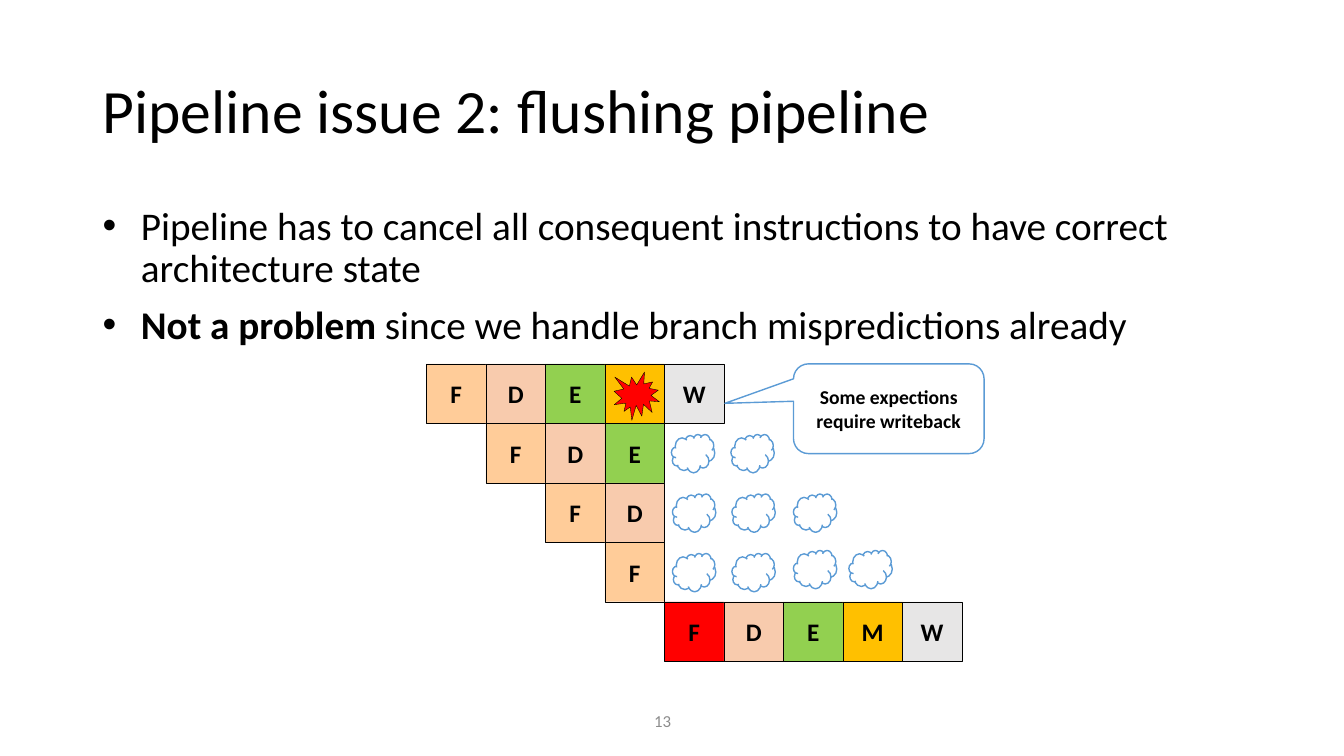
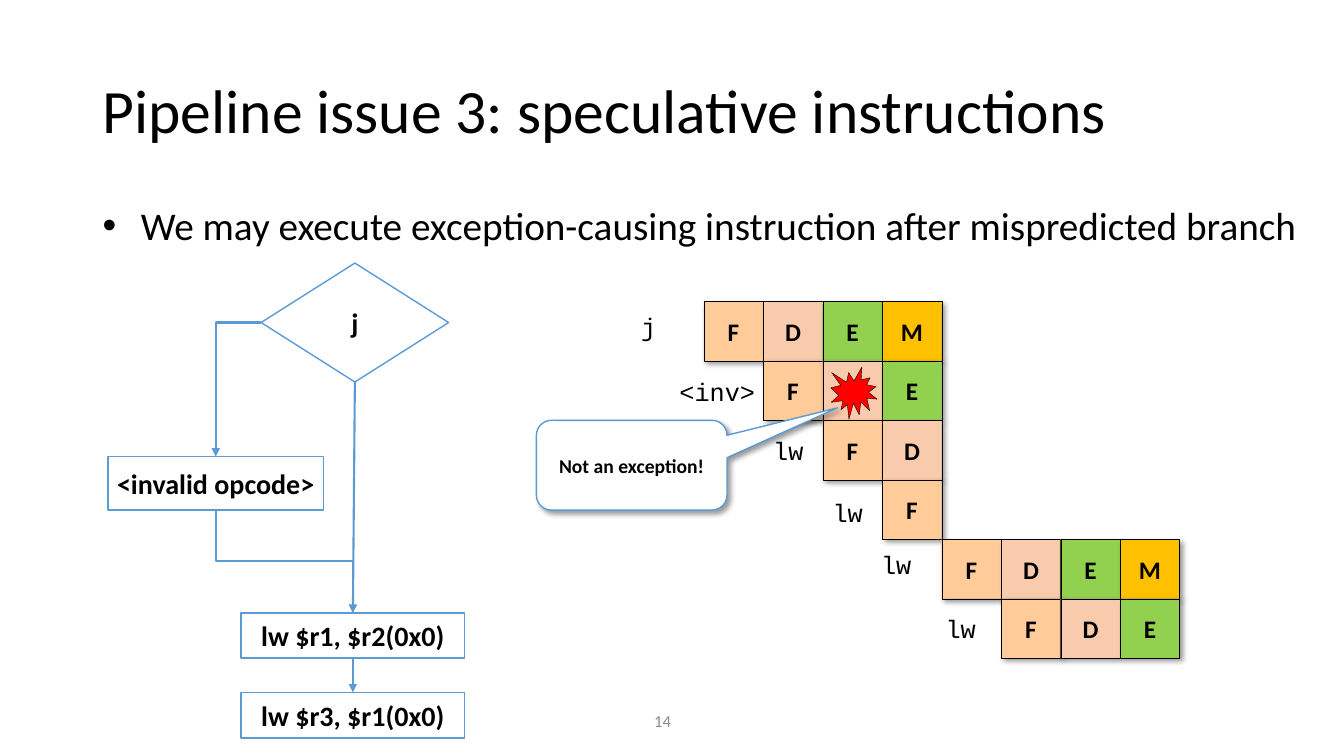
from lxml.etree import SubElement
from pptx import Presentation
from pptx.dml.color import RGBColor
from pptx.enum.shapes import MSO_CONNECTOR, MSO_SHAPE
from pptx.enum.text import MSO_ANCHOR, PP_ALIGN
from pptx.oxml.ns import qn
from pptx.util import Inches, Pt

BLACK = RGBColor(0, 0, 0)
WHITE = RGBColor(0xFF, 0xFF, 0xFF)
GRAY = RGBColor(0x8C, 0x8C, 0x8C)
BLUE = RGBColor(0x5B, 0x9B, 0xD5)
RED = RGBColor(0xFF, 0, 0)
STAGE_FILLS = {
    "F": RGBColor(0xFF, 0xCC, 0x99),
    "D": RGBColor(0xF8, 0xCB, 0xAD),
    "E": RGBColor(0x92, 0xD0, 0x50),
    "M": RGBColor(0xFF, 0xC0, 0),
    "W": RGBColor(0xE7, 0xE6, 0xE6),
}
SANS, MONO = "Calibri", "Courier New"
CELL = 0.59
TOP, LEFT, BOTTOM = 0, 1, 2

# Each bullet is a list of (text, bold) runs
FLUSH_BULLETS = [
    [("Pipeline has to cancel all consequent instructions to have correct "
      "architecture state", False)],
    [("Not a problem ", True),
     ("since we handle branch mispredictions already", False)],
]
SPECULATIVE_BULLETS = [
    [("We may execute exception-causing instruction after mispredicted branch",
      False)],
]

# Each row is the column of its first stage, then its stages
FLUSH_ROWS = [(0, "FDEMW"), (1, "FDE"), (2, "FD"), (3, "F"), (4, "FDEMW")]
SPECULATIVE_ROWS = [(0, "FDEM"), (1, "FDE"), (2, "FD"), (3, "F"),
                    (4, "FDEM"), (5, "FDE")]
# Bubbles: top of a row and the left edges in it
BUBBLES = [
    (4.31, [6.66, 7.25]),
    (4.9, [6.67, 7.26, 7.87]),
    (5.49, [6.67, 7.26]),
    (5.46, [7.87, 8.42]),
]
INSTRUCTIONS = [
    ("j", 6.26, 3.04), ("<inv>", 6.64, 3.68), ("lw", 7.57, 4.27),
    ("lw", 8.16, 4.88), ("lw", 8.64, 5.4), ("lw", 9.28, 6.04),
]


def style(paragraph, size, color=BLACK, font=SANS, bold=None):
    paragraph.font.size = Pt(size)
    paragraph.font.name = font
    paragraph.font.color.rgb = color
    paragraph.font.bold = bold


def add_text(slide, box, text, size, color=BLACK, font=SANS,
             anchor=MSO_ANCHOR.TOP):
    frame = slide.shapes.add_textbox(*map(Inches, box)).text_frame
    frame.word_wrap = True
    frame.vertical_anchor = anchor
    paragraph = frame.paragraphs[0]
    paragraph.text = text
    style(paragraph, size, color, font)
    return paragraph


def add_bullets(slide, bullets, width):
    frame = slide.shapes.add_textbox(
        Inches(0.92), Inches(2), Inches(width), Inches(4.52)).text_frame
    frame.word_wrap = True
    for i, runs in enumerate(bullets):
        paragraph = frame.paragraphs[0] if i == 0 else frame.add_paragraph()
        props = paragraph._p.get_or_add_pPr()
        props.set("marL", str(Inches(0.38)))
        props.set("indent", str(-Inches(0.38)))
        SubElement(props, qn("a:buFont"), typeface="Arial")
        SubElement(props, qn("a:buChar"), char="•")
        style(paragraph, 28)
        paragraph.line_spacing = 0.9
        if i:
            paragraph.space_before = Pt(10)
        for text, bold in runs:
            run = paragraph.add_run()
            run.text = text
            run.font.bold = bold


def add_box(slide, preset, box, text="", size=18, fill=WHITE, line=BLUE,
            weight=1, wrap=False, shadow=False):
    shape = slide.shapes.add_shape(preset, *map(Inches, box))
    shape.fill.solid()
    shape.fill.fore_color.rgb = fill
    shape.line.color.rgb = line
    shape.line.width = Pt(weight)
    shape.shadow.inherit = False
    if shadow:
        effects = shape._element.spPr.find(qn("a:effectLst"))
        outer = SubElement(effects, qn("a:outerShdw"), blurRad=str(Pt(4)),
                           dist=str(Pt(3)), dir="2700000", algn="tl",
                           rotWithShape="0")
        tint = SubElement(outer, qn("a:prstClr"), val="black")
        SubElement(tint, qn("a:alpha"), val="40000")
    if text:
        frame = shape.text_frame
        frame.word_wrap = wrap
        frame.vertical_anchor = MSO_ANCHOR.MIDDLE
        paragraph = frame.paragraphs[0]
        paragraph.text = text
        paragraph.alignment = PP_ALIGN.CENTER
        style(paragraph, size, bold=True)
    return shape


def add_pipeline(slide, rows, left, top, fills=None, shadow=False):
    """Draw the stage grid; fills overrides colours by (row, column)."""
    for row, (start, stages) in enumerate(rows):
        for column, stage in enumerate(stages, start):
            fill = (fills or {}).get((row, column), STAGE_FILLS[stage])
            box = (left + column * CELL, top + row * CELL, CELL, CELL)
            add_box(slide, MSO_SHAPE.RECTANGLE, box, stage, fill=fill,
                    line=BLACK, weight=0.25, shadow=shadow)


def add_burst(slide, box):
    add_box(slide, MSO_SHAPE.EXPLOSION1, box, fill=RED, line=BLACK, weight=0.25)


def add_callout(slide, left, top, text, tip, shadow=False):
    callout = add_box(slide, MSO_SHAPE.ROUNDED_RECTANGULAR_CALLOUT,
                      (left, top, 1.89, 0.89), text, 14, wrap=True,
                      shadow=shadow)
    callout.adjustments[0], callout.adjustments[1] = tip


def add_arrow(slide, kind, source, source_side, target, target_side):
    arrow = slide.shapes.add_connector(kind, 0, 0, 0, 0)
    arrow.begin_connect(source, source_side)
    arrow.end_connect(target, target_side)
    arrow.line.color.rgb = BLUE
    arrow.line.width = Pt(1.5)
    props = arrow._element.spPr
    SubElement(props.find(qn("a:ln")), qn("a:tailEnd"), type="triangle")
    SubElement(props, qn("a:effectLst"))
    return arrow


def turn_downward(arrow):
    """Make an elbow that runs down and right leave and arrive vertically."""
    left, top, width, height = arrow.left, arrow.top, arrow.width, arrow.height
    arrow.left = left + (width - height) // 2
    arrow.top = top + (height - width) // 2
    arrow.width, arrow.height = height, width
    frame = arrow._element.spPr.find(qn("a:xfrm"))
    frame.set("rot", "16200000")
    frame.set("flipH", "1")


def add_flowchart(slide):
    def step(box, text, preset=MSO_SHAPE.RECTANGLE):
        return add_box(slide, preset, box, text, 20)

    jump = step((2.59, 2.61, 1.86, 1.18), "j", MSO_SHAPE.DIAMOND)
    invalid = step((1.07, 4.53, 2.14, 0.53), "<invalid opcode>")
    first_load = step((2.39, 6.08, 2.22, 0.45), "lw $r1, $r2(0x0)")
    second_load = step((2.39, 6.87, 2.22, 0.45), "lw $r3, $r1(0x0)")

    fall_through = add_arrow(slide, MSO_CONNECTOR.ELBOW, jump, LEFT, invalid, TOP)
    fall_through._element.spPr.find(qn("a:prstGeom")).set("prst", "bentConnector2")
    turn_downward(add_arrow(slide, MSO_CONNECTOR.ELBOW,
                            invalid, BOTTOM, first_load, TOP))
    for source, target in [(jump, first_load), (first_load, second_load)]:
        add_arrow(slide, MSO_CONNECTOR.STRAIGHT, source, BOTTOM, target, TOP)


def add_slide(prs, number, title, bullets, body_width):
    slide = prs.slides.add_slide(prs.slide_layouts[6])
    add_text(slide, (6.39, 6.95, 0.79, 0.4), str(number), 12, GRAY,
             anchor=MSO_ANCHOR.MIDDLE)
    heading = add_text(slide, (0.92, 0.4, 11.5, 1.45), title, 44,
                       anchor=MSO_ANCHOR.MIDDLE)
    heading.line_spacing = 0.9
    add_bullets(slide, bullets, body_width)
    return slide


def add_flushing_slide(prs):
    slide = add_slide(prs, 13, "Pipeline issue 2: flushing pipeline",
                      FLUSH_BULLETS, 11.5)
    add_pipeline(slide, FLUSH_ROWS, 4.23, 3.61, fills={(4, 4): RED})
    add_burst(slide, (6.09, 3.69, 0.45, 0.48))
    for top, lefts in BUBBLES:
        for left in lefts:
            add_box(slide, MSO_SHAPE.CLOUD, (left, top, 0.43, 0.38))
    add_callout(slide, 7.87, 3.61, "Some expections require writeback",
                (-0.86, -0.06))


def add_speculative_slide(prs):
    slide = add_slide(prs, 14, "Pipeline issue 3: speculative instructions",
                      SPECULATIVE_BULLETS, 12.1)
    add_flowchart(slide)
    add_pipeline(slide, SPECULATIVE_ROWS, 6.98, 2.99, shadow=True)
    for name, left, top in INSTRUCTIONS:
        add_text(slide, (left, top, 1.07, 0.4), name, 18, font=MONO)
    add_burst(slide, (8.24, 3.64, 0.46, 0.52))
    add_callout(slide, 5.32, 4.17, "Not an exception!", (1.08, -0.64),
                shadow=True)


def main():
    prs = Presentation()
    prs.slide_width, prs.slide_height = Inches(13.33), Inches(7.5)
    add_flushing_slide(prs)
    add_speculative_slide(prs)
    prs.save("out.pptx")


if __name__ == "__main__":
    main()
